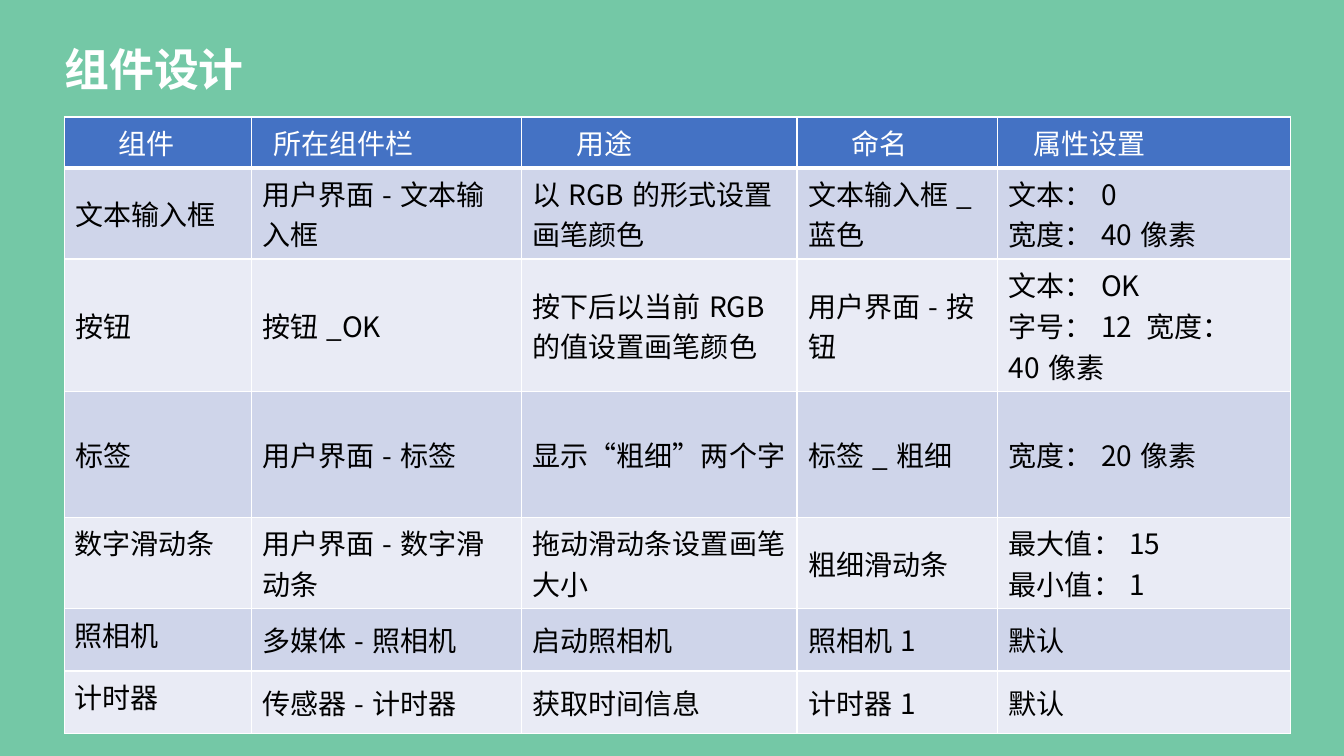
from lxml import etree
from pptx import Presentation
from pptx.dml.color import RGBColor
from pptx.enum.text import MSO_ANCHOR as Anchor, MSO_AUTO_SIZE as AutoSize, PP_ALIGN as Align
from pptx.oxml.ns import qn
from pptx.util import Inches, Pt

FONT = "Noto Sans CJK SC"
COLORS = {
    "background": "74C8A6",
    "white": "FFFFFF",
    "black": "000000",
    "header": "4472C4",
    "odd_row": "CFD5EA",
    "even_row": "E9EBF5",
}

HEADERS = ["组件", "所在组件栏", "用途", "命名", "属性设置"]
HEADER_INDENTS = [0.54, 0.22, 0.54, 0.54, 0.35]
COMPONENTS = [
    ["文本输入框", "用户界面-文本输入框", "以RGB的形式设置画笔颜色", "文本输入框_蓝色", "文本：0\n宽度：40像素"],
    ["按钮", "按钮_OK", "按下后以当前RGB的值设置画笔颜色", "用户界面-按钮", "文本：OK\n字号：12 宽度：\n40像素"],
    ["标签", "用户界面-标签", "显示“粗细”两个字", "标签_粗细", "宽度：20像素"],
    ["数字滑动条", "用户界面-数字滑动条", "拖动滑动条设置画笔大小", "粗细滑动条", "最大值：15\n最小值：1"],
    ["照相机", "多媒体-照相机", "启动照相机", "照相机1", "默认"],
    ["计时器", "传感器-计时器", "获取时间信息", "计时器1", "默认"],
]
TOP_ALIGNED = {"数字滑动条", "照相机", "计时器"}
COLUMN_WIDTHS = [1.85, 2.68, 2.73, 1.99, 2.9]
ROW_HEIGHTS = [0.42, 0.74, 1.06, 1.25, 0.74, 0.62, 0.62]


def rgb(name):
    return RGBColor.from_string(COLORS[name])


def write_text(frame, text, size=20, color="black", bold=False, line_spacing=None):
    frame.word_wrap = True
    for index, line in enumerate(text.split("\n")):
        paragraph = frame.add_paragraph() if index else frame.paragraphs[0]
        paragraph.alignment = Align.LEFT
        paragraph.line_spacing = line_spacing
        run = paragraph.add_run()
        run.text = line
        run.font.name = FONT
        run.font.size = Pt(size)
        run.font.bold = bold
        run.font.color.rgb = rgb(color)
        etree.SubElement(run.font._element, qn("a:ea"), typeface=FONT)


def set_borders(cell, bottom=1):
    """Draw white lines on all sides; widths are in points."""
    properties = cell._tc.get_or_add_tcPr()
    for side, width in zip("LRTB", (1, 1, 1, bottom)):
        line = etree.SubElement(properties, qn(f"a:ln{side}"), w=str(Pt(width)))
        fill = etree.SubElement(line, qn("a:solidFill"))
        etree.SubElement(fill, qn("a:srgbClr"), val=COLORS["white"])


def format_cell(cell, text, fill, color="black", left=0.11, anchor=Anchor.MIDDLE, bottom=1):
    set_borders(cell, bottom)
    cell.fill.solid()
    cell.fill.fore_color.rgb = rgb(fill)
    cell.margin_left = Inches(left)
    cell.margin_right = Inches(0.1 if anchor == Anchor.TOP else 0.11)
    cell.margin_top = cell.margin_bottom = Inches(0.05)
    cell.vertical_anchor = anchor
    write_text(cell.text_frame, text, color=color)


def add_title(slide, left, top, width, height):
    title = slide.shapes.title
    title.left, title.top = Inches(left), Inches(top)
    title.width, title.height = Inches(width), Inches(height)
    frame = title.text_frame
    frame.auto_size = AutoSize.NONE
    frame.vertical_anchor = Anchor.TOP
    # The lowered line spacing lifts the heading, so the top inset is trimmed to match.
    frame.margin_top = 0
    write_text(frame, "组件设计", size=32, color="white", bold=True, line_spacing=0.9)


def add_component_table(slide, left, top, width, height):
    table = slide.shapes.add_table(
        len(ROW_HEIGHTS), len(COLUMN_WIDTHS),
        Inches(left), Inches(top), Inches(width), Inches(height),
    ).table
    for column, share in zip(table.columns, COLUMN_WIDTHS):
        column.width = Inches(width * share / sum(COLUMN_WIDTHS))
    for row, share in zip(table.rows, ROW_HEIGHTS):
        row.height = Inches(height * share / sum(ROW_HEIGHTS))

    for column, (header, indent) in enumerate(zip(HEADERS, HEADER_INDENTS)):
        format_cell(table.cell(0, column), header, "header", color="white",
                    left=indent, anchor=Anchor.TOP, bottom=3)
    for row, component in enumerate(COMPONENTS, start=1):
        fill = "odd_row" if row % 2 else "even_row"
        for column, text in enumerate(component):
            if column == 0 and text in TOP_ALIGNED:
                format_cell(table.cell(row, column), text, fill, left=0.1, anchor=Anchor.TOP)
            else:
                format_cell(table.cell(row, column), text, fill)


def main():
    presentation = Presentation()
    presentation.slide_width, presentation.slide_height = Inches(13.33), Inches(7.5)
    slide = presentation.slides.add_slide(presentation.slide_layouts[5])
    slide.background.fill.solid()
    slide.background.fill.fore_color.rgb = rgb("background")
    add_title(slide, 0.54, 0.47, 6.13, 0.69)
    add_component_table(slide, 0.64, 1.16, 12.16, sum(ROW_HEIGHTS))
    presentation.save("out.pptx")


if __name__ == "__main__":
    main()
